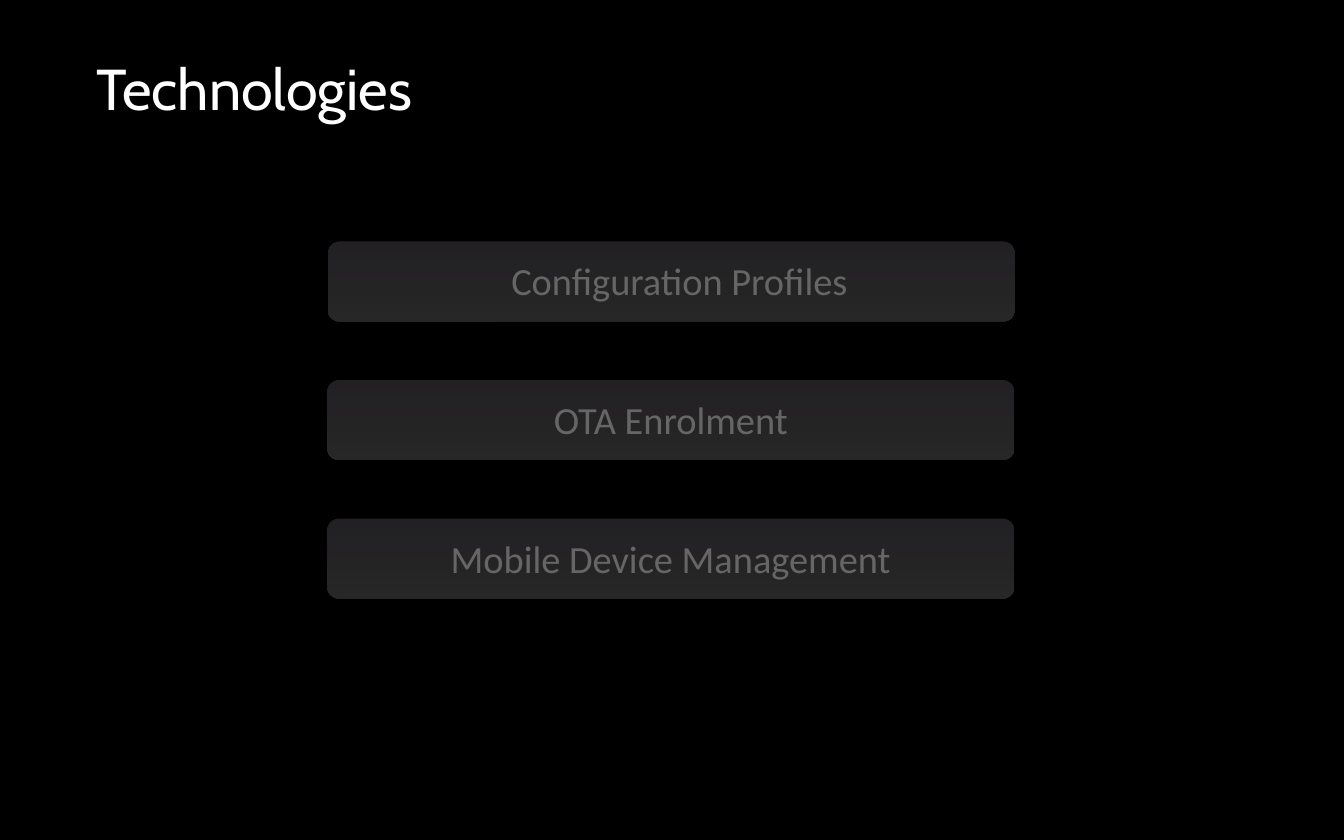
import pptx
import pptx.util
import pptx.dml.color
import pptx.enum.shapes
import pptx.enum.text
import pptx.oxml
import pptx.oxml.ns

Inches = pptx.util.Inches
RGB = pptx.dml.color.RGBColor.from_string
ROUND = pptx.enum.shapes.MSO_SHAPE.ROUNDED_RECTANGLE
ALIGN = pptx.enum.text.PP_ALIGN
MIDDLE = pptx.enum.text.MSO_ANCHOR.MIDDLE

theme = {
    "back": RGB("000000"),
    "veil": RGB("000000"),
    "bar": (RGB("555158"), RGB("636262")),
    "title": {"name": "Cabin", "size": pptx.util.Pt(72)},
    "label": {"name": "Calibri", "size": pptx.util.Pt(48)},
    "text": RGB("FFFFFF"),
}


def add_text(shapes, words, place, style, align, inset, wrap):
    box = shapes.add_textbox(*map(Inches, place))
    frame = box.text_frame
    format = {"word_wrap": wrap, "vertical_anchor": MIDDLE}
    for side in ("left", "top", "right", "bottom"):
        format["margin_" + side] = Inches(inset)
    for key, value in format.items():
        setattr(frame, key, value)
    para = frame.paragraphs[0]
    para.text = words
    para.alignment = align
    for key, value in theme[style].items():
        setattr(para.font, key, value)
    para.font.color.rgb = theme["text"]
    return para


def add_round(shapes, place, curve):
    shape = shapes.add_shape(ROUND, *map(Inches, place))
    shape.adjustments[0] = curve
    shape.shadow.inherit = False
    shape.line.fill.background()
    return shape


deck = pptx.Presentation()
deck.slide_width = Inches(23.34)
deck.slide_height = Inches(14.58)
slide = deck.slides.add_slide(deck.slide_layouts[6])
slide.background.fill.solid()
slide.background.fill.fore_color.rgb = theme["back"]

rows = [
    ("Configuration Profiles", 5.69, 8.37, 6.86),
    ("OTA Enrolment", 5.68, 9.26, 4.78),
    ("Mobile Device Management", 5.68, 7.27, 8.76),
]
for index, (words, left, start, width) in enumerate(rows):
    top = 4.19 + index * 2.405
    group = slide.shapes.add_group_shape()
    bar = add_round(group.shapes, (left, top, 11.94, 1.39), 0.15)
    bar.fill.gradient()
    bar.fill.gradient_angle = 270
    for stop, color in zip(bar.fill.gradient_stops, theme["bar"]):
        stop.color.rgb = color
    add_text(group.shapes, words, (start, top + 0.28, width, 0.8),
             "label", ALIGN.CENTER, 0, False)

for left, top in ((4.61, 8.68), (4.75, 6.28), (4.61, 3.67)):
    veil = add_round(slide.shapes, (left, top, 13.81, 2.44), 0.085)
    veil.fill.solid()
    veil.fill.fore_color.rgb = theme["veil"]
    color = veil.fill._xPr.find(".//" + pptx.oxml.ns.qn("a:srgbClr"))
    alpha = pptx.oxml.parse_xml(
        f'<a:alpha {pptx.oxml.ns.nsdecls("a")} val="60000"/>')
    color.append(alpha)

title = add_text(slide.shapes, "Technologies", (1.6, 0.94, 20.4, 1.25),
                 "title", ALIGN.LEFT, 0.07, True)
title.line_spacing = 0.96

deck.save("out.pptx")
